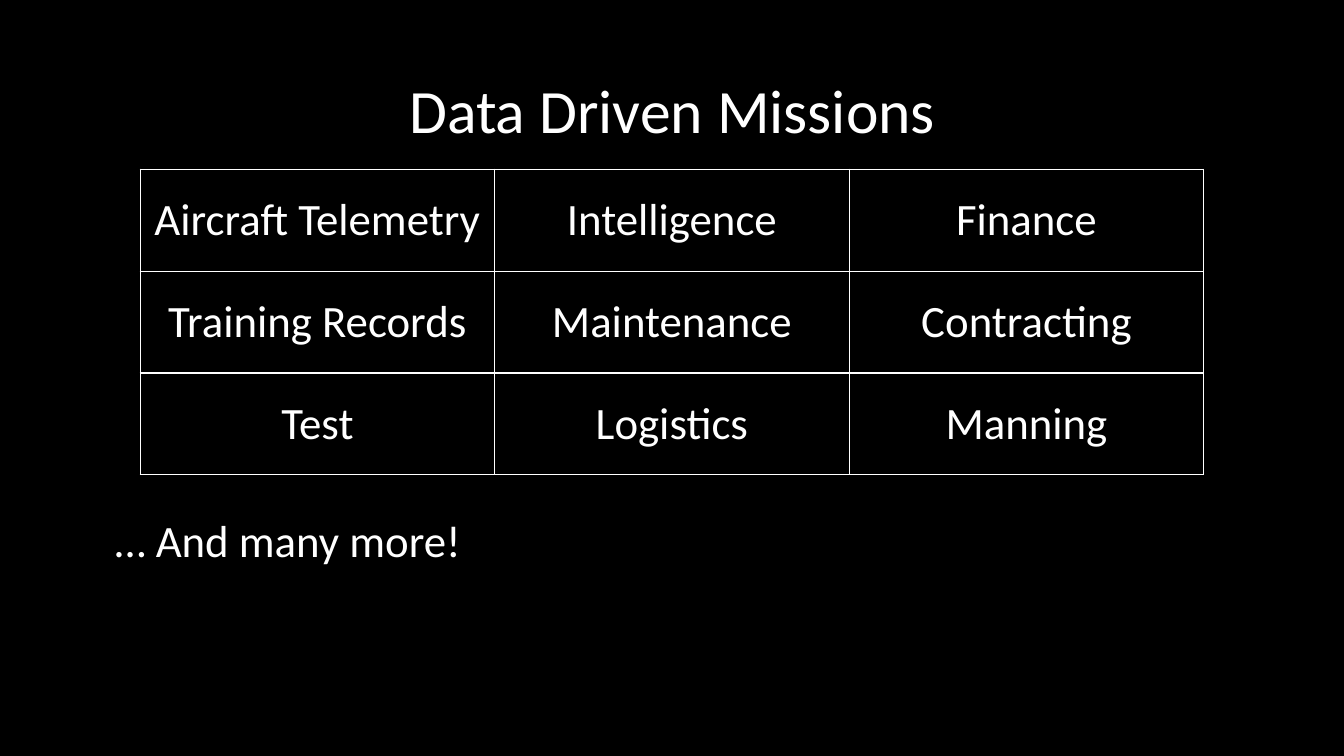
from lxml.etree import SubElement as Sub
from pptx import Presentation
from pptx.dml.color import RGBColor
from pptx.enum.text import MSO_ANCHOR as Anchor, PP_ALIGN as Align
from pptx.oxml.ns import qn
from pptx.util import Inches, Pt

BLACK, WHITE = "000000", "FFFFFF"
AREAS = [
    ["Aircraft Telemetry", "Intelligence", "Finance"],
    ["Training Records", "Maintenance", "Contracting"],
    ["Test", "Logistics", "Manning"],
]


def paint(target, color):
    target.rgb = RGBColor.from_string(color)


def write(frame, text, size, **form):
    para = frame.paragraphs[0]
    para.text = text
    for name, value in form.items():
        setattr(para, name, value)
    font = para.runs[0].font
    for name, value in {"name": "Calibri", "size": Pt(size)}.items():
        setattr(font, name, value)
    paint(font.color, WHITE)


def add_text(slide, box, text, size, anchor, **form):
    frame = slide.shapes.add_textbox(*map(Inches, box)).text_frame
    frame.word_wrap = True
    frame.vertical_anchor = anchor
    write(frame, text, size, line_spacing=0.9, **form)


def add_edges(cell, color, width):
    props = cell._tc.get_or_add_tcPr()
    for side in ("lnL", "lnR", "lnT", "lnB"):
        line = Sub(props, qn(f"a:{side}"), w=str(Pt(width)))
        fill = Sub(line, qn("a:solidFill"))
        Sub(fill, qn("a:srgbClr"), val=color)


def add_grid(slide, box, rows):
    shape = slide.shapes.add_table(len(rows), len(rows[0]), *map(Inches, box))
    table = shape.table
    table.first_row = table.horz_banding = False
    for r, row in enumerate(rows):
        for c, text in enumerate(row):
            cell = table.cell(r, c)
            add_edges(cell, WHITE, 1)
            cell.fill.background()
            cell.vertical_anchor = Anchor.MIDDLE
            write(cell.text_frame, text, 32, alignment=Align.CENTER)


def main():
    deck = Presentation()
    deck.slide_width, deck.slide_height = Inches(13.33), Inches(7.5)
    slide = deck.slides.add_slide(deck.slide_layouts[6])
    back = slide.background.fill
    back.solid()
    paint(back.fore_color, BLACK)

    # Title
    add_text(slide, (0.92, 0.4, 11.5, 1.45), "Data Driven Missions", 44,
             Anchor.MIDDLE, alignment=Align.CENTER)
    # Closing line
    add_text(slide, (1.04, 5.1, 11.5, 0.6), "… And many more!", 32,
             Anchor.TOP, space_before=Pt(10))
    # Mission areas
    add_grid(slide, (1.39, 1.68, 10.55, 3.03), AREAS)

    deck.save("out.pptx")


if __name__ == "__main__":
    main()
